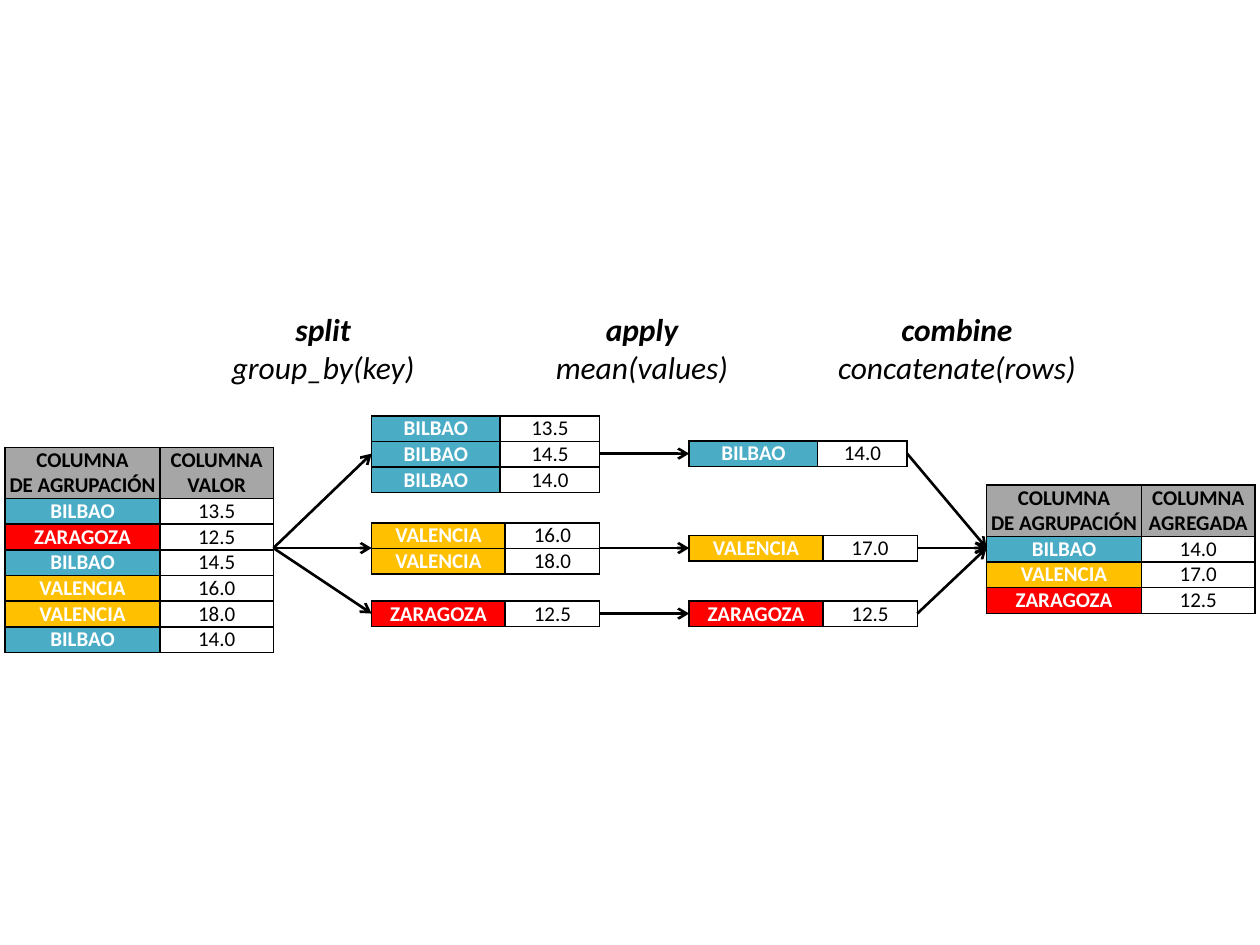
"""Split-apply-combine diagram: grouping city values, averaging them and joining the rows."""
from pptx import Presentation
from pptx.dml.color import RGBColor
from pptx.enum.shapes import MSO_CONNECTOR
from pptx.enum.text import MSO_ANCHOR, MSO_AUTO_SIZE, PP_ALIGN
from pptx.oxml import parse_xml
from pptx.oxml.ns import nsdecls, qn
from pptx.util import Inches, Pt

BLACK = RGBColor(0x00, 0x00, 0x00)
WHITE = RGBColor(0xFF, 0xFF, 0xFF)
GREY = RGBColor(0xA6, 0xA6, 0xA6)
CITY_COLORS = {
    "BILBAO": RGBColor(0x4B, 0xAC, 0xC6),
    "VALENCIA": RGBColor(0xFF, 0xC0, 0x00),
    "ZARAGOZA": RGBColor(0xFF, 0x00, 0x00),
}
ROW_HEIGHT = 0.2
INPUT_RIGHT, GROUP_LEFT, GROUP_RIGHT = 2.17, 2.95, 4.76
MEAN_LEFT, RESULT_LEFT = 5.47, 7.83
MIDDLE = 4.35

presentation = Presentation()
presentation.slide_width, presentation.slide_height = Inches(10), Inches(7.5)
slide = presentation.slides.add_slide(presentation.slide_layouts[6])


def write_lines(frame, lines, formats):
    frame.text = "\n".join(lines)
    for paragraph, values in zip(frame.paragraphs, formats):
        paragraph.alignment = PP_ALIGN.CENTER
        font = paragraph.runs[0].font
        font.name = "Calibri"
        font.color.rgb = values["color"]
        for key in ("size", "bold", "italic"):
            setattr(font, key, values.get(key))


def add_arrow(start, end):
    arrow = slide.shapes.add_connector(MSO_CONNECTOR.STRAIGHT, *map(Inches, start + end))
    arrow.line.color.rgb = BLACK
    arrow.line.width = Pt(1.5)
    properties = arrow.element.spPr
    properties.find(qn("a:ln")).append(parse_xml(f'<a:tailEnd {nsdecls("a")} type="arrow"/>'))
    properties.append(parse_xml(f'<a:effectLst {nsdecls("a")}/>'))


measurements = [("BILBAO", "13.5"), ("ZARAGOZA", "12.5"), ("BILBAO", "14.5"),
                ("VALENCIA", "16.0"), ("VALENCIA", "18.0"), ("BILBAO", "14.0")]
means = {"BILBAO": "14.0", "VALENCIA": "17.0", "ZARAGOZA": "12.5"}
centers = {"BILBAO": 3.6, "VALENCIA": MIDDLE, "ZARAGOZA": 4.87}
group_widths = {"BILBAO": (1.02, 0.79), "VALENCIA": (1.06, 0.75), "ZARAGOZA": (1.06, 0.75)}
mean_widths = {**group_widths, "BILBAO": (1.02, 0.71)}
key_header = "COLUMNA\nDE AGRUPACIÓN"

tables = [(0.04, 3.55, (1.23, 0.9), [(key_header, "COLUMNA VALOR")] + measurements),
          (RESULT_LEFT, 3.85, (1.23, 0.9), [(key_header, "COLUMNA AGREGADA")] + list(means.items()))]
for city, center in centers.items():
    members = [row for row in measurements if row[0] == city]
    tables += [(GROUP_LEFT, center - len(members) * ROW_HEIGHT / 2, group_widths[city], members),
               (MEAN_LEFT, center - ROW_HEIGHT / 2, mean_widths[city], [(city, means[city])])]

for left, top, widths, rows in tables:
    heights = [ROW_HEIGHT if key in CITY_COLORS else 2 * ROW_HEIGHT for key, _ in rows]
    table = slide.shapes.add_table(len(rows), 2, Inches(left), Inches(top),
                                   Inches(sum(widths)), Inches(sum(heights))).table
    table.first_row = table.horz_banding = False
    for column, width in zip(table.columns, widths):
        column.width = Inches(width)
    for row, height, texts in zip(table.rows, heights, rows):
        row.height = Inches(height)
        is_header = texts[0] not in CITY_COLORS
        fills = (GREY, GREY) if is_header else (CITY_COLORS[texts[0]], WHITE)
        inks = (BLACK, BLACK) if is_header else (WHITE, BLACK)
        for cell, text, fill, ink, bold in zip(row.cells, texts, fills, inks, (True, is_header)):
            cell.vertical_anchor = MSO_ANCHOR.MIDDLE
            for side in ("left", "right", "top", "bottom"):
                setattr(cell, f"margin_{side}", 0)
            lines = text.split("\n")
            write_lines(cell.text_frame, lines,
                        [{"size": Pt(12), "bold": bold, "color": ink}] * len(lines))
            cell_properties = cell._tc.get_or_add_tcPr()
            for edge in ("lnL", "lnR", "lnT", "lnB"):
                cell_properties.append(parse_xml(
                    f'<a:{edge} {nsdecls("a")} w="{Pt(1)}"><a:solidFill>'
                    f'<a:srgbClr val="{BLACK}"/></a:solidFill></a:{edge}>'))
            cell.fill.solid()
            cell.fill.fore_color.rgb = fill

for city, center in centers.items():
    mean_right = MEAN_LEFT + sum(mean_widths[city])
    add_arrow((INPUT_RIGHT, MIDDLE), (GROUP_LEFT, center))
    add_arrow((GROUP_RIGHT, center), (MEAN_LEFT, center))
    add_arrow((mean_right, center), (RESULT_LEFT, MIDDLE))

steps = [("split", "group_by(key)", 1.71, 1.71),
         ("apply", "mean(values)", 4.3, 1.59),
         ("combine", "concatenate(rows)", 6.54, 2.11)]
step_format = {"size": Pt(18), "italic": True, "color": BLACK}
for step, call, left, width in steps:
    frame = slide.shapes.add_textbox(Inches(left), Inches(2.41), Inches(width), Inches(0.71)).text_frame
    frame.word_wrap = False
    frame.auto_size = MSO_AUTO_SIZE.SHAPE_TO_FIT_TEXT
    write_lines(frame, (step, call), [{**step_format, "bold": True}, {**step_format, "bold": False}])

presentation.save("out.pptx")
